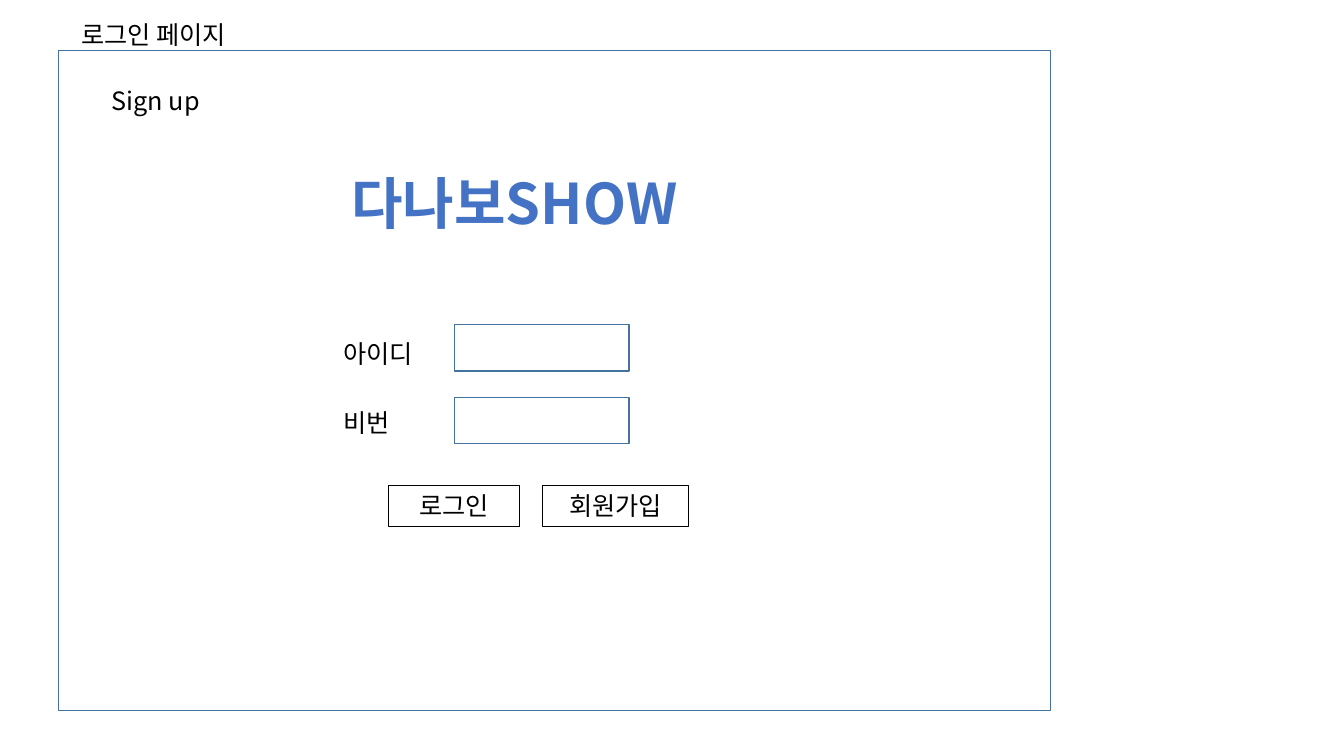
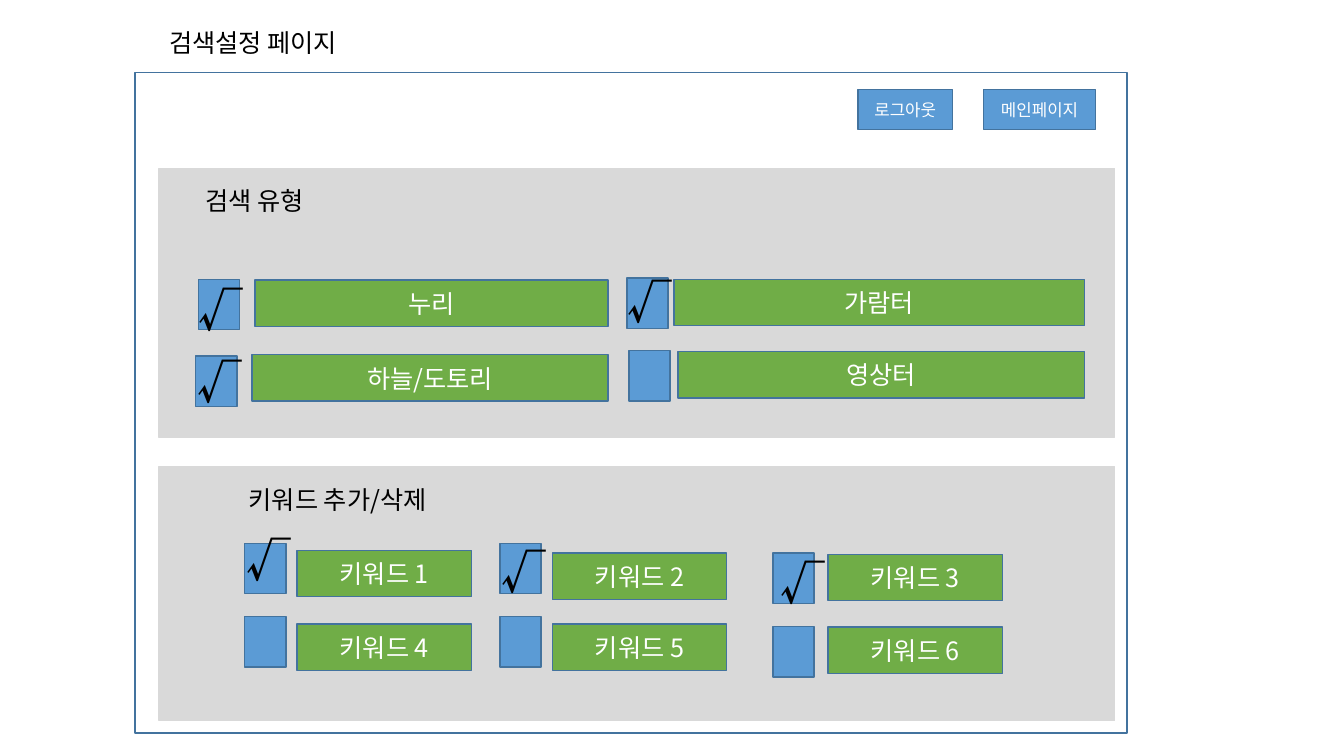
from lxml.etree import SubElement
from pptx import Presentation
from pptx.dml.color import RGBColor
from pptx.enum.shapes import MSO_SHAPE
from pptx.enum.text import MSO_ANCHOR, MSO_AUTO_SIZE, PP_ALIGN
from pptx.oxml.ns import qn
from pptx.util import Cm, Pt

FONT = "Noto Sans CJK KR"
COLOURS = {
    "white": "FFFFFF",
    "black": "000000",
    "outline": "43739E",
    "title": "4472C4",
    "blue": "5B9BD5",
    "green": "70AD47",
    "panel": "D9D9D9",
}


def write(shape, text, size=18, colour="black", bold=False, align=PP_ALIGN.LEFT):
    frame = shape.text_frame
    frame.text = text
    frame.word_wrap = True
    para = frame.paragraphs[0]
    para.alignment = align
    span = para.runs[0]
    span.font.name = FONT
    span.font.size = Pt(size)
    span.font.bold = bold
    span.font.color.rgb = RGBColor.from_string(COLOURS[colour])
    SubElement(span.font._element, qn("a:ea")).set("typeface", FONT)
    return frame


def add_box(page, left, top, width, height, fill=None, line="outline", weight=1):
    box = page.shapes.add_shape(MSO_SHAPE.RECTANGLE, Cm(left), Cm(top), Cm(width), Cm(height))
    box.shadow.inherit = False
    if fill:
        box.fill.solid()
        box.fill.fore_color.rgb = RGBColor.from_string(COLOURS[fill])
    else:
        box.fill.background()
    box.line.color.rgb = RGBColor.from_string(COLOURS[line])
    box.line.width = Pt(weight)
    return box


deck = Presentation()
deck.slide_width = Cm(33.87)
deck.slide_height = Cm(19.05)
blank = deck.slide_layouts[6]
login_page = deck.slides.add_slide(blank)
search_page = deck.slides.add_slide(blank)

for page, left, top in [(login_page, 1.47, 1.27), (search_page, 3.4, 1.83)]:
    add_box(page, left, top, 25, 16.64, "white")

for top in (8.18, 10.01):
    add_box(login_page, 11.46, top, 4.39, 1.17)

for left, width, text in [(9.8, 3.3, "로그인"), (13.67, 3.68, "회원가입")]:
    button = add_box(login_page, left, 12.24, width, 1.02, line="black", weight=0.75)
    frame = write(button, text, align=PP_ALIGN.CENTER)
    frame.vertical_anchor = MSO_ANCHOR.TOP

for top, height in [(4.24, 6.78), (11.76, 6.4)]:
    add_box(search_page, 4.01, top, 24.08, height, "panel", "panel")

for left, width, text in [(21.62, 2.39, "로그아웃"), (24.79, 2.82, "메인페이지")]:
    button = add_box(search_page, left, 2.26, width, 1, "blue")
    frame = write(button, text, 12, "white", align=PP_ALIGN.CENTER)
    frame.vertical_anchor = MSO_ANCHOR.MIDDLE

options = [
    (5, 7.04, 6.43, 7.06, 8.89, "누리"),
    (4.93, 8.97, 6.35, 8.94, 8.97, "하늘/도토리"),
    (15.8, 7.01, 16.99, 7.04, 10.34, "가람터"),
    (15.85, 8.84, 17.09, 8.86, 10.24, "영상터"),
]
keyword_columns = [
    (6.17, 13.69, 7.49, (13.87, 15.72)),
    (12.6, 13.69, 13.92, (13.94, 15.72)),
    (19.48, 13.94, 20.87, (13.97, 15.8)),
]
for column, (check_left, check_top, bar_left, bar_tops) in enumerate(keyword_columns):
    for row, bar_top in enumerate(bar_tops):
        keyword = f"키워드 {row * 3 + column + 1}"
        options.append((check_left, check_top + row * 1.85, bar_left, bar_top, 4.39, keyword))

for check_left, check_top, bar_left, bar_top, bar_width, text in options:
    add_box(search_page, check_left, check_top, 1.04, 1.27, "blue")
    bar = add_box(search_page, bar_left, bar_top, bar_width, 1.17, "green")
    frame = write(bar, text, 18, "white", align=PP_ALIGN.CENTER)
    frame.vertical_anchor = MSO_ANCHOR.MIDDLE

labels = [
    (login_page, 1.8, 0.36, 6.63, "로그인 페이지"),
    (login_page, 2.57, 2.03, 6.63, "Sign up"),
    (login_page, 8.41, 8.41, 2.72, "아이디"),
    (login_page, 8.41, 10.13, 2.72, "비번"),
    (search_page, 4.01, 0.56, 5.38, "검색설정 페이지"),
    (search_page, 4.93, 4.55, 5.59, "검색 유형"),
    (search_page, 6.02, 12.09, 6.48, "키워드 추가/삭제"),
]
for page, left, top, width, text in labels:
    label = page.shapes.add_textbox(Cm(left), Cm(top), Cm(width), Cm(1.02))
    frame = write(label, text)
    frame.auto_size = MSO_AUTO_SIZE.SHAPE_TO_FIT_TEXT

service_name = login_page.shapes.add_textbox(Cm(8.61), Cm(4.11), Cm(10.74), Cm(1.96))
frame = write(service_name, "다나보SHOW", 40, "title", bold=True)
frame.auto_size = MSO_AUTO_SIZE.SHAPE_TO_FIT_TEXT

check_marks = [
    (4.75, 6.99), (4.72, 8.81), (15.57, 6.81),
    (5.97, 13.31), (12.4, 13.59), (19.41, 13.87),
]
for left, top in check_marks:
    mark = search_page.shapes.add_textbox(Cm(left), Cm(top), Cm(1.68), Cm(1.63))
    frame = write(mark, "√", 32, bold=True)
    frame.auto_size = MSO_AUTO_SIZE.SHAPE_TO_FIT_TEXT

deck.save("out.pptx")
